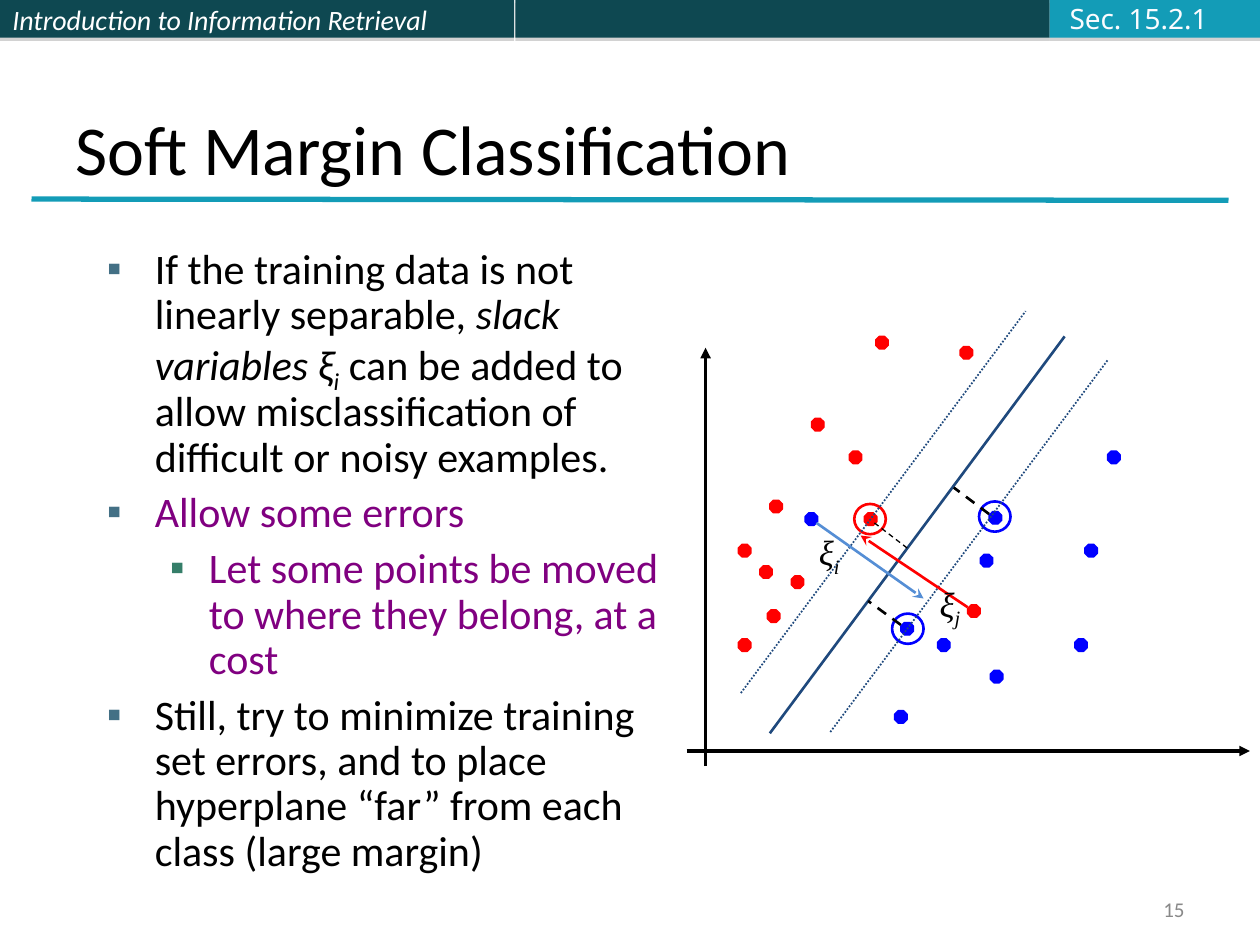
from lxml.etree import SubElement
from pptx import Presentation
from pptx.dml.color import RGBColor
from pptx.enum.dml import MSO_LINE as Dash
from pptx.enum.shapes import MSO_CONNECTOR as Connector, MSO_SHAPE as Shape
from pptx.enum.text import MSO_ANCHOR as Anchor, PP_ALIGN as Align
from pptx.oxml.ns import qn
from pptx.util import Inches, Pt

BLACK = RGBColor(0x00, 0x00, 0x00)
WHITE = RGBColor(0xFF, 0xFF, 0xFF)
OFF_WHITE = RGBColor(0xFB, 0xFC, 0xFF)
GREY = RGBColor(0x89, 0x89, 0x89)
DARK_TEAL = RGBColor(0x0E, 0x48, 0x51)
TEAL = RGBColor(0x13, 0x9C, 0xB7)
PURPLE = RGBColor(0x80, 0x00, 0x80)
RED = RGBColor(0xFF, 0x00, 0x00)
BLUE = RGBColor(0x00, 0x00, 0xFF)
NAVY = RGBColor(0x1F, 0x49, 0x7D)
SKY = RGBColor(0x55, 0x8E, 0xD5)
BULLET_BLUE = RGBColor(0x43, 0x70, 0x85)
BULLET_GREEN = RGBColor(0x35, 0x7E, 0x69)

SERIF = "Times New Roman"
ITALIC = {"italic": True}
SUBSCRIPT = {"italic": True, "baseline": -25000}
DOT_SIZE = 0.1
RING_SIZE = (0.25, 0.24)

RED_DOTS = [
    (6.74, 3.58), (6.11, 3.97), (6.28, 4.57), (5.86, 5.07), (6.44, 3.32), (5.86, 4.32),
    (6.03, 4.49), (6.86, 4.07), (6.95, 2.67), (7.62, 2.75), (6.09, 4.84), (7.68, 4.8),
]
BLUE_DOTS = [
    (7.85, 4.06), (7.44, 5.07), (8.53, 5.07), (7.1, 5.64), (7.78, 4.4), (7.15, 4.94),
    (7.86, 5.32), (8.61, 4.32), (8.79, 3.58), (6.39, 4.07),
]
SUPPORT_RINGS = [(6.78, 4, RED), (7.08, 4.87, BLUE), (7.77, 3.98, BLUE)]
AXES = [((5.6, 6.08), (5.6, 2.76)), ((5.45, 5.96), (9.92, 5.96))]
MARGINS = [((6.59, 5.81), (8.79, 2.86)), ((5.88, 5.5), (8.14, 2.47))]
MARGIN_GAPS = [
    ((7.85, 4.08), (7.57, 3.87), 1.5),
    ((7.15, 4.96), (6.89, 4.77), 1.5),
    ((7.2, 4.35), (6.94, 4.15), 0.75),
]
SLACK_ARROWS = [((7.68, 4.82), (6.83, 4.25), RED), ((6.48, 4.15), (7.33, 4.75), SKY)]
SLACK_LABELS = [(7.36, 4.57, "j"), (6.4, 4.16, "i")]

BODY = [
    (0, BLACK, [
        ("If the training data is not linearly separable, ", {}),
        ("slack variables ξ", ITALIC),
        ("i", SUBSCRIPT),
        (" can be added to allow misclassification of difficult or noisy examples.", {}),
    ]),
    (0, PURPLE, [("Allow some errors", {})]),
    (1, PURPLE, [("Let some points be moved to where they belong, at a cost", {})]),
    (0, BLACK, [("Still, try to minimize training set errors, and to place "
                 "hyperplane “far” from each class (large margin)", {})]),
]
# Left margin, hanging indent and bullet colour of each level
LEVELS = [(0.38, -0.38, BULLET_BLUE), (0.81, -0.31, BULLET_GREEN)]


class SlidePainter:
    def __init__(self, page, font="Calibri"):
        self.page = page
        self.font = font

    def shape(self, kind, left, top, width, height, fill=None, line=None, weight=0.75):
        shape = self.page.shapes.add_shape(
            kind, Inches(left), Inches(top), Inches(width), Inches(height))
        shape.shadow.inherit = False
        if fill is None:
            shape.fill.background()
        else:
            shape.fill.solid()
            shape.fill.fore_color.rgb = fill
        if line is None:
            shape.line.fill.background()
        else:
            shape.line.color.rgb = line
            shape.line.width = Pt(weight)
        return shape

    def bar(self, left, width, fill):
        """Add a header bar that casts a thin shadow downwards."""
        bar = self.shape(Shape.RECTANGLE, left, 0, width, 0.3, fill)
        effects = bar._element.spPr.find(qn("a:effectLst"))
        shadow = SubElement(effects, qn("a:outerShdw"), blurRad="0",
                            dist=str(Pt(1.8)), dir="5400000", rotWithShape="0")
        color = SubElement(shadow, qn("a:srgbClr"), val="808080")
        SubElement(color, qn("a:alpha"), val="35000")
        return bar

    def line(self, start, end, color, weight, dash=None, arrow=None):
        ends = [Inches(value) for value in (*start, *end)]
        line = self.page.shapes.add_connector(Connector.STRAIGHT, *ends)
        line.line.color.rgb = color
        line.line.width = Pt(weight)
        if dash is not None:
            line.line.dash_style = dash
        if arrow:
            SubElement(line.line._get_or_add_ln(), qn("a:tailEnd"), type=arrow)
        SubElement(line._element.spPr, qn("a:effectLst"))

    def span(self, para, text, size, color, font=None, italic=False, baseline=None):
        span = para.add_run()
        span.text = text
        values = {"name": font or self.font, "size": Pt(size), "italic": italic}
        for name, value in values.items():
            setattr(span.font, name, value)
        span.font.color.rgb = color
        if baseline is not None:
            span.font._element.set("baseline", str(baseline))

    def text(self, left, top, width, height, anchor=Anchor.TOP):
        """Add a text box and return its frame."""
        box = self.page.shapes.add_textbox(
            Inches(left), Inches(top), Inches(width), Inches(height))
        frame = box.text_frame
        for name, value in {"word_wrap": True, "vertical_anchor": anchor}.items():
            setattr(frame, name, value)
        return frame

    def bullet(self, para, level):
        margin, indent, color = LEVELS[level]
        for name, value in {"level": level, "line_spacing": 0.9, "space_before": Pt(6)}.items():
            setattr(para, name, value)
        props = para._p.get_or_add_pPr()
        props.set("marL", str(Inches(margin)))
        props.set("indent", str(Inches(indent)))
        SubElement(SubElement(props, qn("a:buClr")), qn("a:srgbClr"), val=str(color))
        SubElement(props, qn("a:buFont"), typeface=SERIF)
        SubElement(props, qn("a:buChar"), char="▪")


def draw_frame(painter):
    course = painter.bar(0, 4.08, DARK_TEAL).text_frame
    course.vertical_anchor = Anchor.MIDDLE
    course.paragraphs[0].alignment = Align.LEFT
    painter.span(course.paragraphs[0], "Introduction to Information Retrieval",
                 16, WHITE, italic=True)
    painter.bar(4.09, 4.24, DARK_TEAL)
    painter.bar(8.33, 1.67, TEAL)
    painter.line((0.25, 1.58), (9.75, 1.59), TEAL, 3)

    number = painter.text(7.17, 7.08, 2.33, 0.27, Anchor.MIDDLE).paragraphs[0]
    number.alignment = Align.RIGHT
    painter.span(number, "15", 12, GREY)
    title = painter.text(0.5, 0.3, 9, 1.25, Anchor.BOTTOM)
    painter.span(title.paragraphs[0], "Soft Margin Classification", 40, BLACK)
    section = painter.text(8.39, -0.04, 1.45, 0.37, Anchor.MIDDLE)
    painter.span(section.paragraphs[0], "Sec. 15.2.1", 16, OFF_WHITE, "Noto Sans")


def draw_body(painter):
    frame = painter.text(0.75, 1.92, 4.58, 5.33)
    for index, (level, color, spans) in enumerate(BODY):
        para = frame.add_paragraph() if index else frame.paragraphs[0]
        painter.bullet(para, level)
        for text, style in spans:
            painter.span(para, text, 24, color, **style)


def draw_plot(painter):
    for start, end in AXES:
        painter.line(start, end, BLACK, 2, arrow="triangle")
    for color, dots in ((RED, RED_DOTS), (BLUE, BLUE_DOTS)):
        for left, top in dots:
            dot = painter.shape(Shape.OCTAGON, left, top, DOT_SIZE, DOT_SIZE, color, color)
            dot.adjustments[0] = 0.29
    painter.line((6.11, 5.82), (8.45, 2.67), NAVY, 1.5)
    for left, top, color in SUPPORT_RINGS:
        painter.shape(Shape.OVAL, left, top, *RING_SIZE, line=color, weight=1.5)
    for start, end, weight in MARGIN_GAPS:
        painter.line(start, end, BLACK, weight, Dash.DASH)
    for start, end in MARGINS:
        painter.line(start, end, NAVY, 1, Dash.ROUND_DOT)
    for start, end, color in SLACK_ARROWS:
        painter.line(start, end, color, 1.5, arrow="stealth")
    for left, top, index in SLACK_LABELS:
        para = painter.text(left, top, 0.77, 0.48).paragraphs[0]
        para.space_before = Pt(12.5)
        for text, style in (("ξ", ITALIC), (index, SUBSCRIPT)):
            painter.span(para, text, 20, BLACK, SERIF, **style)


def main():
    deck = Presentation()
    deck.slide_width, deck.slide_height = Inches(10), Inches(7.5)
    painter = SlidePainter(deck.slides.add_slide(deck.slide_layouts[6]))
    draw_frame(painter)
    draw_body(painter)
    draw_plot(painter)
    deck.save("out.pptx")


if __name__ == "__main__":
    main()
